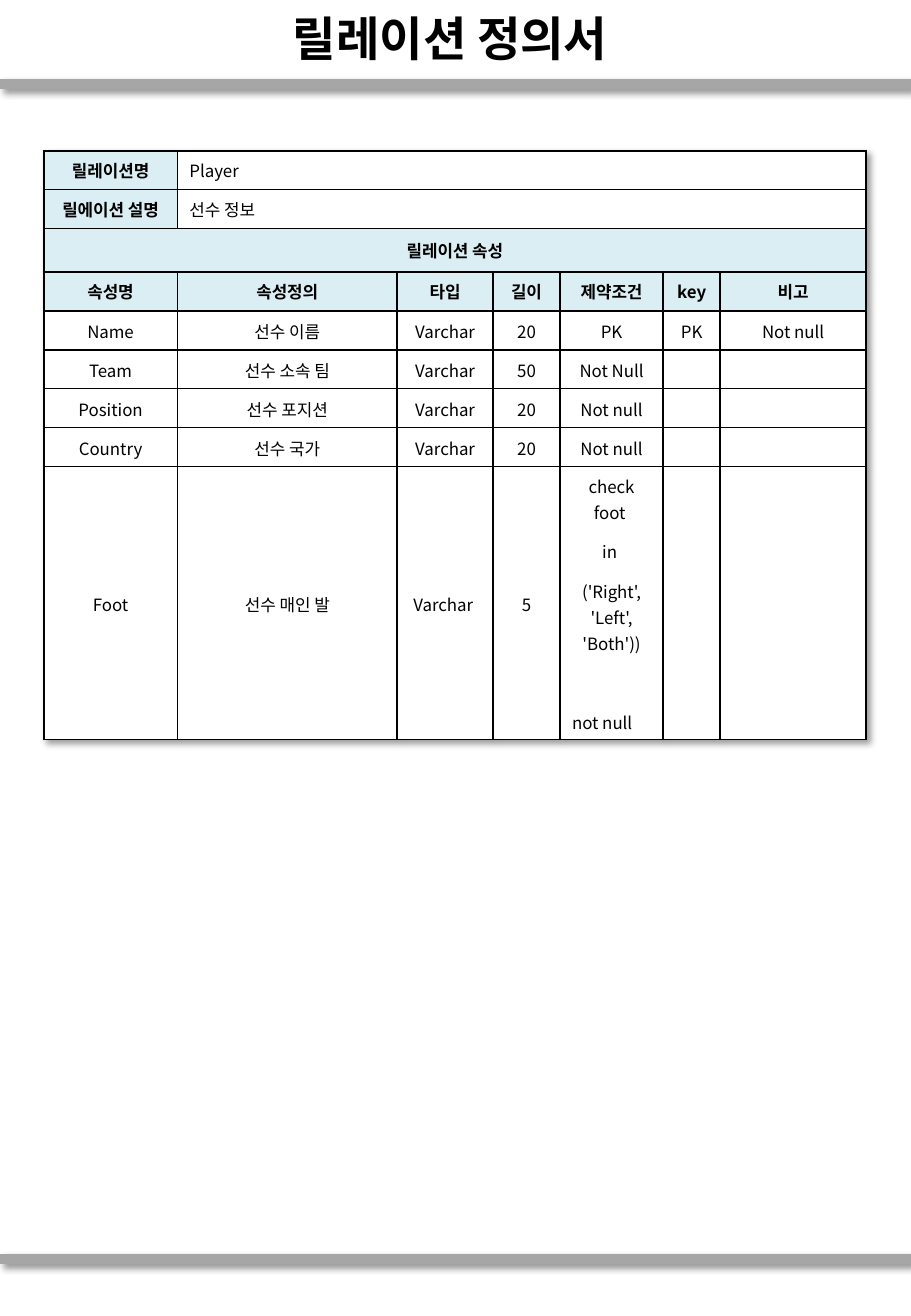
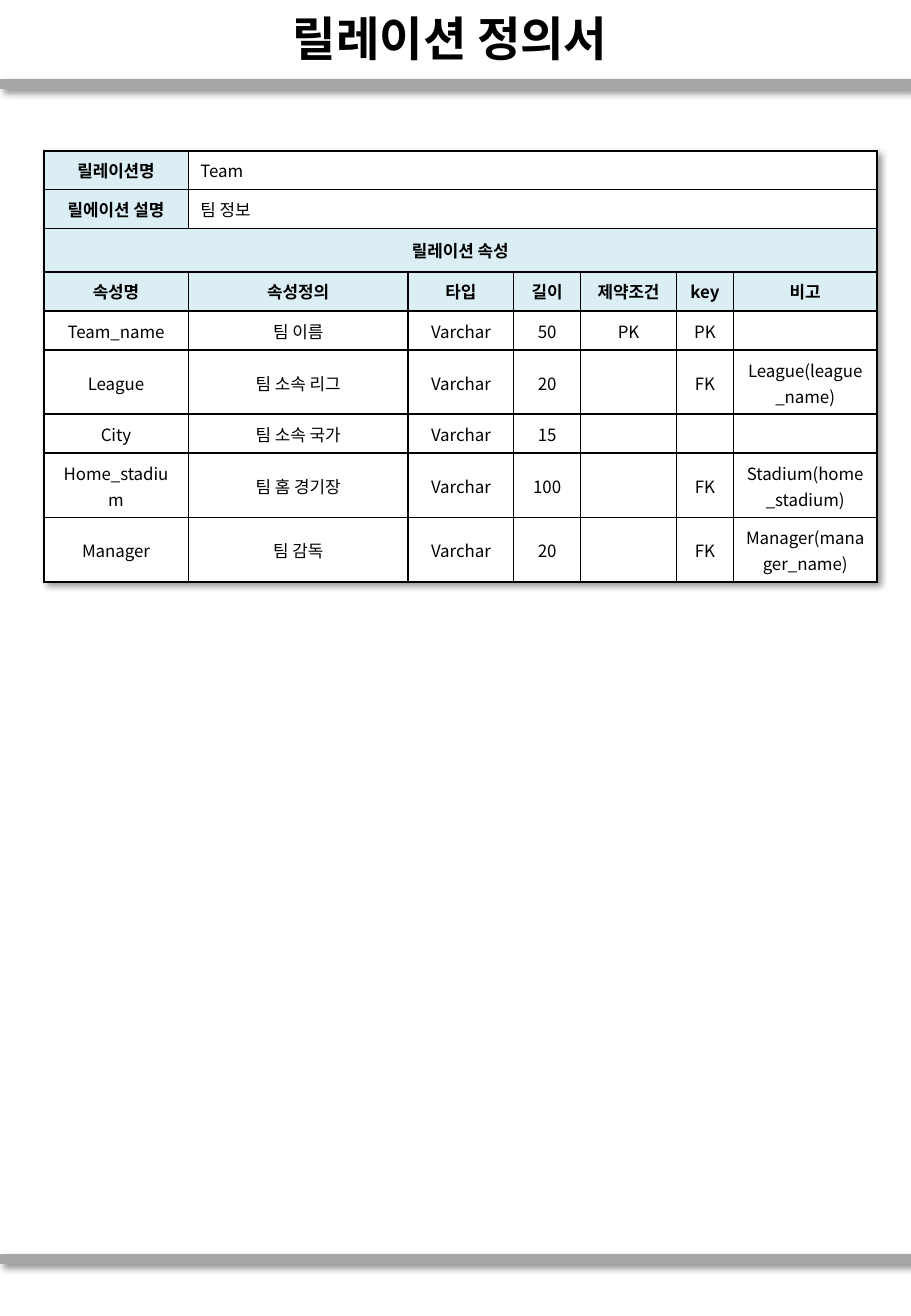
from lxml.etree import SubElement, Element
from pptx import Presentation
from pptx.dml.color import RGBColor
from pptx.enum.shapes import MSO_CONNECTOR
from pptx.enum.text import MSO_ANCHOR, PP_ALIGN
from pptx.oxml.ns import qn
from pptx.util import Inches, Pt

COLORS = {"ink": "000000", "bar": "A6A6A6", "head": "DBEEF4", "body": "FFFFFF"}
FACE = "Noto Sans CJK KR"
WIDE, TALL = 7.5, 10.83
BARS = (0.69, 10.36)
TITLE = "릴레이션 정의서 "
LABELS = ("릴레이션명", "릴에이션 설명")
GROUP = "릴레이션 속성"
HEADS = ("속성명", "속성정의", "타입", "길이", "제약조건", "key", "비고")
FIRST = len(LABELS) + 2
EDGE, INNER = 1.5, 1
LINE, BAND, PAIR, STACK = 0.32, 0.36, 0.53, 2.25

LEFT = {"alignment": PP_ALIGN.LEFT}
MID = {"alignment": PP_ALIGN.CENTER}
BODY = {**MID, "line_spacing": 1.07, "space_after": Pt(8)}
DROP = {"space_before": Pt(12)}
LAST = {"alignment": PP_ALIGN.JUSTIFY, "space_before": Pt(23.4)}

PLAYER = {
    "name": "Player",
    "about": "선수 정보",
    "cols": (1.1, 1.81, 0.79, 0.55, 0.85, 0.47, 1.2),
    "talls": (LINE, LINE, LINE, LINE, STACK),
    "rows": (
        ("Name", "선수 이름", "Varchar", "20", "PK", "PK", "Not null"),
        ("Team", "선수 소속 팀", "Varchar", "50", "Not Null", "", ""),
        ("Position", "선수 포지션", "Varchar", "20", "Not null", "", ""),
        ("Country", "선수 국가", "Varchar", "20", "Not null", "", ""),
        ("Foot", "선수 매인 발", "Varchar ", "5",
         ["check foot ", "in ", "('Right', 'Left', 'Both'))", ("not null", LAST)],
         "", ""),
    ),
}
TEAM = {
    "name": "Team",
    "about": "팀 정보",
    "cols": (1.19, 1.81, 0.87, 0.55, 0.79, 0.47, 1.18),
    "talls": (LINE, PAIR, LINE, PAIR, PAIR),
    "rows": (
        ("Team_name", "팀 이름", "Varchar", "50", "PK", "PK", ""),
        ("League", "팀 소속 리그", "Varchar", "20", "", "FK", "League(league_name)"),
        ("City", "팀 소속 국가", "Varchar", "15", "", "", ""),
        ("Home_stadium", "팀 홈 경기장", "Varchar", "100", "", "FK",
         [("Stadium(home_stadium)", DROP)]),
        ("Manager", "팀 감독", "Varchar", "20", "", "FK",
         [("Manager(manager_name)", DROP)]),
    ),
}


def apply(item, form):
    """Set every attribute in form on item."""
    for key, value in form.items():
        setattr(item, key, value)


def color(key):
    """Return a named colour."""
    return RGBColor.from_string(COLORS[key])


def shade(host, spot):
    """Insert a soft shadow into host at child index spot."""
    effect = Element(qn("a:effectLst"))
    host.insert(spot, effect)
    cast = SubElement(effect, qn("a:outerShdw"), blurRad=str(Pt(4)),
                      dist=str(Pt(3)), dir="2700000", algn="tl", rotWithShape="0")
    tint = SubElement(cast, qn("a:srgbClr"), val=COLORS["ink"])
    SubElement(tint, qn("a:alpha"), val="40000")


def write(para, text, form, size, bold, face=FACE):
    """Fill a paragraph with one styled run, or size it when empty."""
    apply(para, form)
    if not text:
        SubElement(para._p, qn("a:endParaRPr"), sz=str(size * 100))
        return
    run = para.add_run()
    run.text = text
    apply(run.font, {"size": Pt(size), "bold": bold, "name": face})
    run.font.color.rgb = color("ink")
    SubElement(run.font._element, qn("a:ea"), typeface=FACE)


def add_bar(slide, top):
    """Draw a grey bar across the page."""
    bar = slide.shapes.add_connector(
        MSO_CONNECTOR.STRAIGHT, 0, Inches(top), Inches(WIDE), Inches(top))
    bar.line.width = Pt(6)
    bar.line.color.rgb = color("bar")
    props = bar._element.spPr
    shade(props, len(props))


def add_title(slide):
    """Add the page title."""
    box = slide.shapes.add_textbox(0, Inches(0.01), Inches(WIDE), Inches(0.6))
    frame = box.text_frame
    apply(frame, {"word_wrap": True, "vertical_anchor": MSO_ANCHOR.MIDDLE})
    write(frame.paragraphs[0], TITLE, MID, 28, True, "Arial")


def add_edges(cell, widths):
    """Draw the four borders of a cell."""
    props = cell._tc.get_or_add_tcPr()
    for side, width in zip("LRTB", widths):
        line = SubElement(props, qn(f"a:ln{side}"), w=str(Pt(width)))
        fill = SubElement(line, qn("a:solidFill"))
        SubElement(fill, qn("a:srgbClr"), val=COLORS["ink"])


def fill_cell(cell, value, form, bold, fill):
    """Write a cell's paragraphs and set its fill."""
    cell.vertical_anchor = MSO_ANCHOR.MIDDLE
    cell.fill.solid()
    cell.fill.fore_color.rgb = color(fill)
    frame = cell.text_frame
    for num, part in enumerate(value if isinstance(value, list) else [value]):
        text, extra = part if isinstance(part, tuple) else (part, {})
        para = frame.add_paragraph() if num else frame.paragraphs[0]
        write(para, text, {**form, **extra}, 10, bold)


def add_grid(slide, data):
    """Add the table that defines one relation."""
    rows = [(LABELS[0], data["name"]), (LABELS[1], data["about"]),
            (GROUP,), HEADS, *data["rows"]]
    talls = (LINE, LINE, BAND, LINE, *data["talls"])
    wide = len(HEADS)
    frame = slide.shapes.add_table(
        len(rows), wide, Inches(0.36), Inches(1.24),
        Inches(sum(data["cols"])), Inches(sum(talls)))
    table = frame.table
    apply(table, {"first_row": False, "horz_banding": False})
    shade(table._tbl.tblPr, 0)
    for col, width in zip(table.columns, data["cols"]):
        col.width = Inches(width)
    for r, values in enumerate(rows):
        table.rows[r].height = Inches(talls[r])
        end = len(values) - 1
        if end < wide - 1:
            table.cell(r, end).merge(table.cell(r, wide - 1))
        for c, value in enumerate(values):
            cell = table.cell(r, c)
            add_edges(cell, (INNER if c else EDGE, EDGE if c == end else INNER,
                             INNER if r else EDGE, INNER))
            head = r < FIRST and (c == 0 or r >= len(LABELS))
            form = BODY if r >= FIRST else MID if head else LEFT
            fill_cell(cell, value, form, head, "head" if head else "body")


def main():
    """Build one page for each relation."""
    deck = Presentation()
    apply(deck, {"slide_width": Inches(WIDE), "slide_height": Inches(TALL)})
    for data in (PLAYER, TEAM):
        slide = deck.slides.add_slide(deck.slide_layouts[6])
        for top in BARS:
            add_bar(slide, top)
        add_title(slide)
        add_grid(slide, data)
    deck.save("out.pptx")


main()
